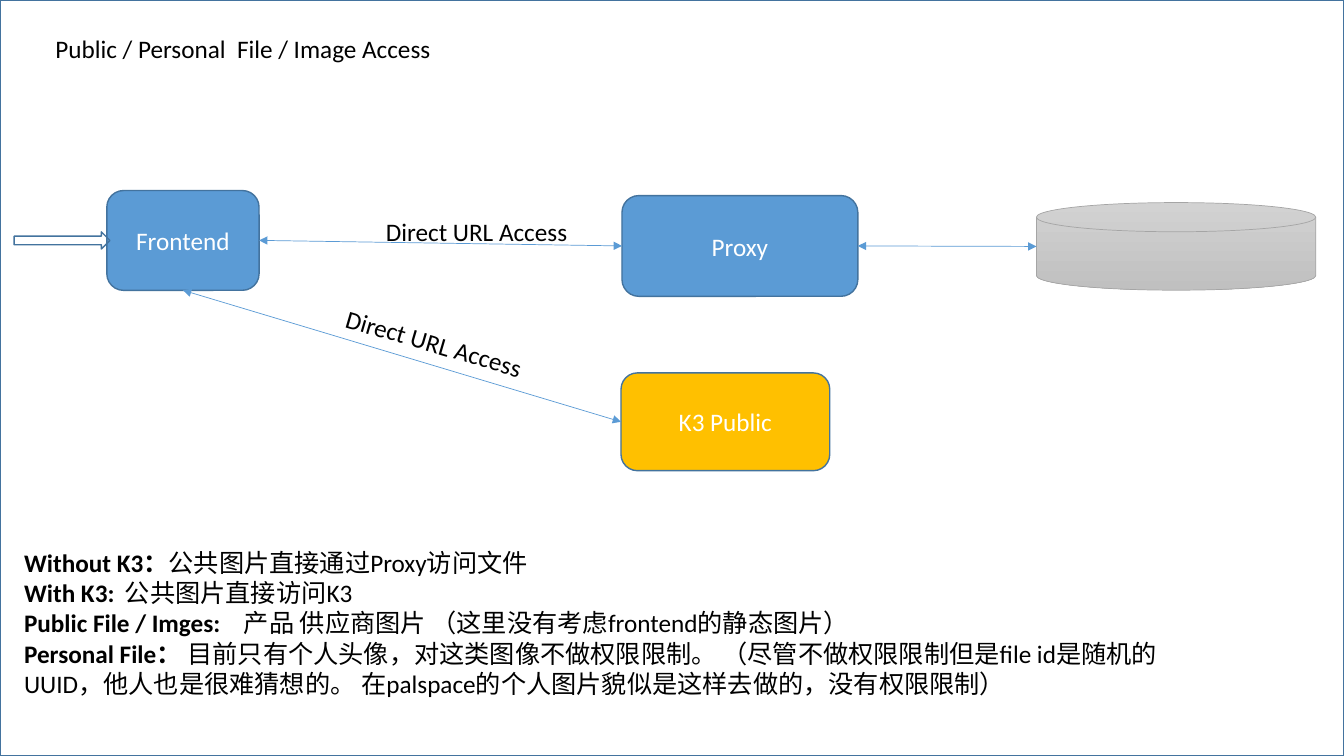
from lxml.etree import SubElement
from pptx import Presentation
from pptx.dml.color import RGBColor
from pptx.enum.shapes import MSO_CONNECTOR, MSO_SHAPE as Preset
from pptx.enum.text import MSO_ANCHOR as Anchor, PP_ALIGN as Align
from pptx.oxml.ns import qn
from pptx.util import Inches, Pt

BLUE, OUTLINE, AMBER, GREY = "5B9BD5", "43739E", "FFC000", "A5A5A5"
BLACK, WHITE = "000000", "FFFFFF"


def rgb(value):
    """Turn a hex string into a colour."""
    return RGBColor.from_string(value)


def apply(target, values):
    """Set each attribute named in a dict of format values."""
    for key, value in values.items():
        setattr(target, key, value)


def edge(shape, across, down):
    """Return the point at the given shares of a shape's width and height."""
    return (int(shape.left + shape.width * across),
            int(shape.top + shape.height * down))


class Diagram:
    """Holds the style and the current slide; lengths are percent of the slide."""

    font = {"name": "Calibri", "size": Pt(18)}

    def __init__(self, deck):
        """Add a blank slide to the deck."""
        self.width, self.height = deck.slide_width, deck.slide_height
        self.slide = deck.slides.add_slide(deck.slide_layouts[6])

    def area(self, left, top, width, height):
        """Convert percent of the slide to lengths."""
        sizes = (self.width, self.height) * 2
        return [int(size * share / 100)
                for size, share in zip(sizes, (left, top, width, height))]

    def add_words(self, paragraph, text, color=BLACK, bold=False):
        """Append a styled run to a paragraph."""
        run = paragraph.add_run()
        run.text = text
        apply(run.font, {**self.font, "bold": bold})
        run.font.color.rgb = rgb(color)

    def outline(self, line, color, weight):
        """Set the colour and weight of a line."""
        line.color.rgb = rgb(color)
        line.width = Pt(weight)

    def shape(self, preset, area, fill=None, line=OUTLINE, weight=1):
        """Draw a preset shape with an optional plain fill."""
        shape = self.slide.shapes.add_shape(preset, *self.area(*area))
        shape.shadow.inherit = False
        if fill:
            shape.fill.solid()
            shape.fill.fore_color.rgb = rgb(fill)
        else:
            shape.fill.background()
        self.outline(shape.line, line, weight)
        return shape

    def node(self, name, area, fill=BLUE):
        """Draw a rounded box with a centred name."""
        node = self.shape(Preset.ROUNDED_RECTANGLE, area, fill)
        node.text_frame.vertical_anchor = Anchor.MIDDLE
        paragraph = node.text_frame.paragraphs[0]
        paragraph.alignment = Align.CENTER
        self.add_words(paragraph, name, WHITE)
        return node

    def disk(self, area):
        """Draw a storage disk with a vertical grey gradient."""
        disk = self.shape(Preset.FLOWCHART_MAGNETIC_DISK, area, None, GREY, 0.5)
        disk.fill.gradient()
        disk.fill.gradient_angle = 270
        for stop, shade in zip(disk.fill.gradient_stops, ("D2D2D2", "C0C0C0")):
            stop.color.rgb = rgb(shade)
        return disk

    def text(self, area, lines, wrap=True, rotation=0, tabs=()):
        """Add lines of text, each a bold lead followed by plain words."""
        box = self.slide.shapes.add_textbox(*self.area(*area))
        box.rotation = rotation
        frame = box.text_frame
        frame.word_wrap = wrap
        for index, (lead, body) in enumerate(lines):
            paragraph = frame.add_paragraph() if index else frame.paragraphs[0]
            if tabs:
                stops = SubElement(paragraph._p.get_or_add_pPr(), qn("a:tabLst"))
                for stop in tabs:
                    SubElement(stops, qn("a:tab"), pos=str(Inches(stop)), algn="l")
            if lead:
                self.add_words(paragraph, lead, bold=True)
            self.add_words(paragraph, body)

    def link(self, start, end):
        """Join two points with a thin double-headed arrow."""
        link = self.slide.shapes.add_connector(MSO_CONNECTOR.STRAIGHT, *start, *end)
        self.outline(link.line, BLUE, 0.5)
        properties = link._element.spPr
        for tip in ("a:headEnd", "a:tailEnd"):
            SubElement(properties.find(qn("a:ln")), qn(tip), type="triangle")
        SubElement(properties, qn("a:effectLst"))


LEFT, RIGHT, BOTTOM = (0, 0.5), (1, 0.5), (0.5, 1)
ACCESS = [("", "Direct URL Access")]
NOTES = [
    ("Without K3：", "公共图片直接通过Proxy访问文件"),
    ("With K3:\t", "公共图片直接访问K3"),
    ("Public File / Imges:\t", "产品 供应商图片 （这里没有考虑frontend的静态图片）"),
    ("Personal File： ", "目前只有个人头像，对这类图像不做权限限制。 "
     "（尽管不做权限限制但是file id是随机的UUID，他人也是很难猜想的。 "
     "在palspace的个人图片貌似是这样去做的，没有权限限制）"),
]

deck = Presentation()
apply(deck, {"slide_width": Inches(13.33), "slide_height": Inches(7.5)})
diagram = Diagram(deck)

diagram.shape(Preset.RECTANGLE, (0, 0, 100, 100))
diagram.text((3.38, 3.73, 29.78, 5.33),
             [("", "Public / Personal  File / Image Access")], wrap=False)

frontend = diagram.node("Frontend", (7.95, 25.2, 11.33, 13.2))
diagram.shape(Preset.RIGHT_ARROW, (1.05, 30.67, 7.13, 2.27))
proxy = diagram.node("Proxy", (46.28, 25.87, 17.55, 13.33))
bucket = diagram.node("K3 Public", (46.21, 49.33, 15.53, 12.93), AMBER)
storage = diagram.disk((77.12, 26.8, 20.78, 11.6))

for source, source_side, target in (
        (frontend, RIGHT, proxy), (frontend, BOTTOM, bucket), (proxy, RIGHT, storage)):
    diagram.link(edge(source, *source_side), edge(target, *LEFT))

diagram.text((27.98, 28, 25.5, 5.33), ACCESS)
diagram.text((24.6, 45.33, 25.5, 5.33), ACCESS, rotation=16.3)
diagram.text((1.05, 71.73, 89.57, 21.6), NOTES, tabs=(1, 2.18))

deck.save("out.pptx")
